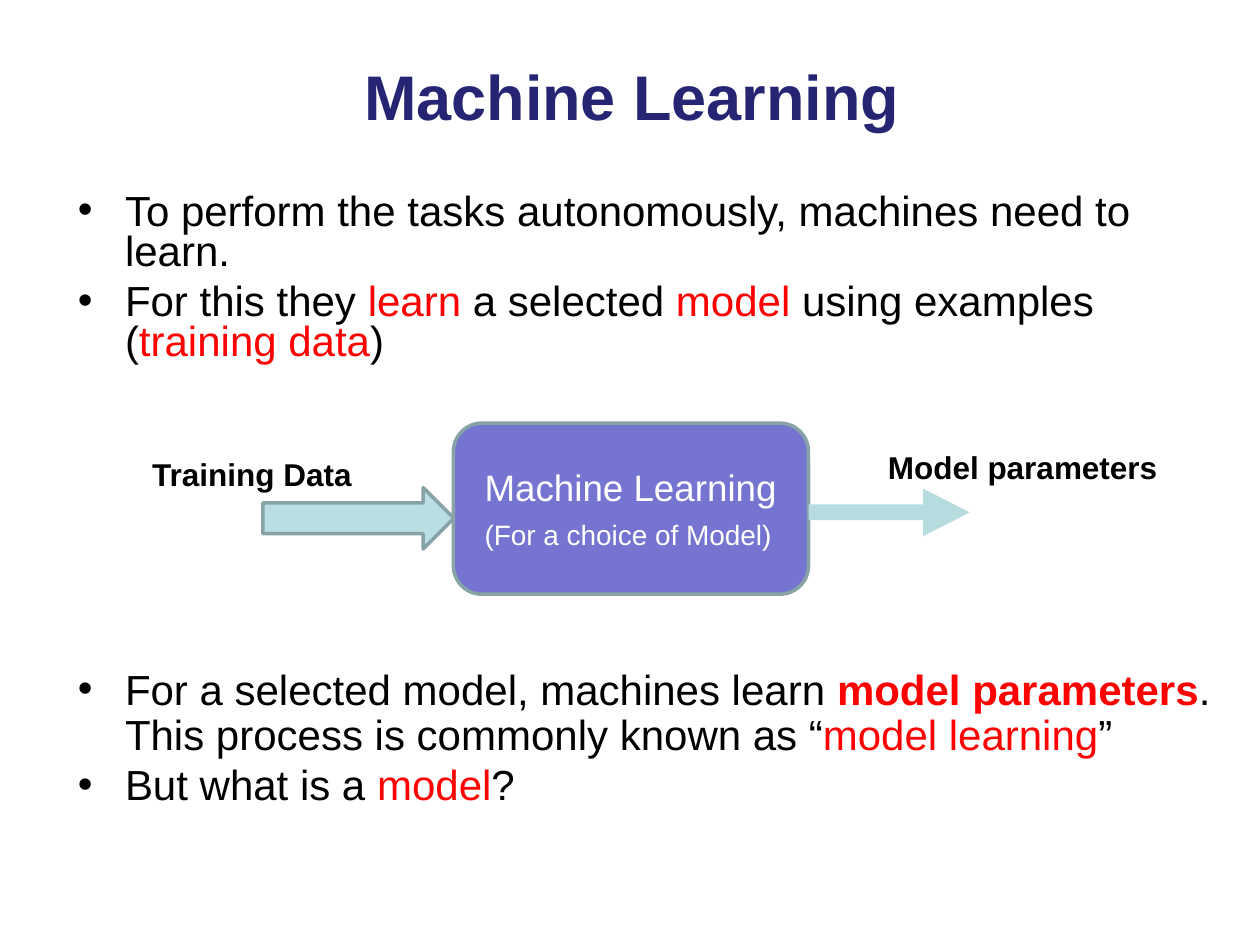
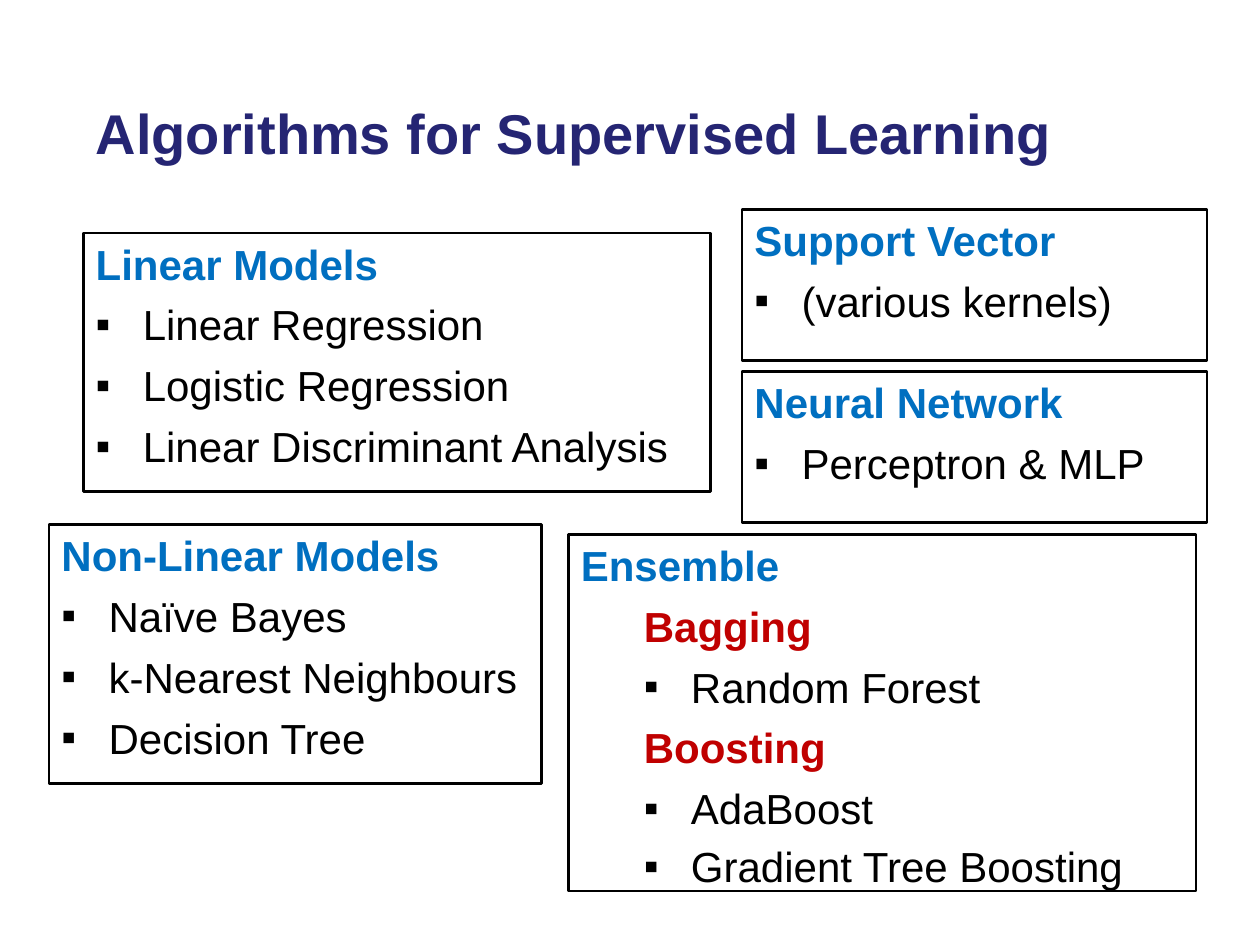
from pptx import Presentation
from pptx.dml.color import RGBColor
from pptx.enum.shapes import MSO_SHAPE
from pptx.enum.text import MSO_ANCHOR, MSO_AUTO_SIZE, PP_ALIGN
from pptx.util import Cm, Pt
from lxml.etree import SubElement
from pptx.oxml.ns import qn

FONT = "Arial"
NAVY, BLACK, WHITE, RED = "252573", "000000", "FFFFFF", "FF0000"
HEADING_BLUE, SUBHEADING_RED = "006FC0", "C00000"
VIOLET, SLATE, AQUA, PALE_AQUA = "7575D1", "88A3A7", "BADFE2", "B6DCDF"
TITLE_BOX = (0.84, 0.69, 20.73, 2.69)
HANG = 0.95


def color(hex_string):
    return RGBColor.from_string(hex_string)


def place(shape, box):
    shape.left, shape.top, shape.width, shape.height = map(Cm, box)


def prepare_frame(shape, left=0, top=0):
    """Return the shape's text frame, top-anchored, with the given insets."""
    frame = shape.text_frame
    frame.word_wrap = True
    frame.auto_size = MSO_AUTO_SIZE.NONE
    frame.vertical_anchor = MSO_ANCHOR.TOP
    frame.margin_left, frame.margin_top = Cm(left), Cm(top)
    frame.margin_right = frame.margin_bottom = 0
    return frame


def add_text(frame, text, size=24, fill=BLACK, bold=False, indent=0, bullet=None,
             before=0, spacing=1.0, emphasis_bold=False):
    """Add a paragraph; parts between asterisks are shown in red."""
    first = frame.paragraphs[0]
    paragraph = first if not first.runs else frame.add_paragraph()
    paragraph.alignment = PP_ALIGN.LEFT
    paragraph.space_before = Pt(before)
    paragraph.line_spacing = spacing
    properties = paragraph._p.get_or_add_pPr()
    properties.set("marL", str(Cm(indent + (HANG if bullet else 0))))
    properties.set("indent", str(Cm(-HANG if bullet else 0)))
    if bullet:
        SubElement(properties, qn("a:buFont")).set("typeface", FONT)
        SubElement(properties, qn("a:buChar")).set("char", bullet)
    else:
        SubElement(properties, qn("a:buNone"))
    for index, part in enumerate(text.split("*")):
        if not part:
            continue
        emphasized = index % 2 == 1
        run = paragraph.add_run()
        run.text = part
        run.font.name = FONT
        run.font.size = Pt(size)
        run.font.bold = bold or (emphasized and emphasis_bold)
        run.font.color.rgb = color(RED if emphasized else fill)


def add_title(slide, text, size, left, top):
    title = slide.shapes.title
    place(title, TITLE_BOX)
    add_text(prepare_frame(title, left, top), text, size=size, fill=NAVY,
             bold=True, before=1)


def add_block(slide, kind, box, fill=None, line=None, line_width=2):
    shape = slide.shapes.add_shape(kind, *map(Cm, box))
    shape.shadow.inherit = False
    if fill:
        shape.fill.solid()
        shape.fill.fore_color.rgb = color(fill)
    else:
        shape.fill.background()
    if line:
        shape.line.color.rgb = color(line)
        shape.line.width = Pt(line_width)
    else:
        shape.line.fill.background()
    return shape


def add_label(slide, text, box):
    label = slide.shapes.add_textbox(*map(Cm, box))
    add_text(prepare_frame(label, top=0.03), text, size=18, bold=True, before=1)


def add_learning_diagram(slide, left, top):
    """Draw training data flowing into the learner and parameters out of it."""
    learner = add_block(slide, MSO_SHAPE.ROUNDED_RECTANGLE,
                        (left + 6.07, top, 7.16, 3.45), VIOLET, SLATE)
    frame = prepare_frame(learner, 0.46, 0.67)
    add_text(frame, "Machine Learning", size=21, fill=WHITE, before=7.6)
    add_text(frame, "(For a choice of Model)", size=16, fill=WHITE, before=5)

    add_block(slide, MSO_SHAPE.RIGHT_ARROW, (left + 2.23, top + 1.3, 3.85, 1.24),
              AQUA, SLATE)
    output = add_block(slide, MSO_SHAPE.RIGHT_ARROW,
                       (left + 13.23, top + 1.32, 3.25, 0.96), PALE_AQUA)
    output.adjustments[0], output.adjustments[1] = 0.33, 0.98

    add_label(slide, "Training Data", (left, top + 0.61, 4.2, 0.84))
    add_label(slide, "Model parameters", (left + 14.83, top + 0.48, 5.6, 0.84))


def add_model_box(slide, box, heading, entries):
    """Draw a bordered list; entries are (text, is_subheading, options)."""
    outline = add_block(slide, MSO_SHAPE.RECTANGLE, box, line=BLACK, line_width=1.5)
    frame = prepare_frame(outline, top=0.1)
    add_text(frame, heading, fill=HEADING_BLUE, bold=True, indent=0.25, before=3)
    has_groups = any(is_subheading for _, is_subheading, _ in entries)
    indent = 1.52 if has_groups else 0.25
    for text, is_subheading, options in entries:
        style = (dict(fill=SUBHEADING_RED, bold=True) if is_subheading
                 else dict(bullet="▪"))
        add_text(frame, text, indent=indent, before=6, **style, **options)


def items(*texts):
    return [(text, False, {}) for text in texts]


def build_machine_learning(presentation):
    slide = presentation.slides.add_slide(presentation.slide_layouts[3])
    add_title(slide, "Machine Learning", 36, left=6.5, top=0.46)
    _, introduction, conclusion = slide.placeholders

    place(introduction, (1.57, 3.68, 21.44, 3.73))
    frame = prepare_frame(introduction, top=0.23)
    add_text(frame, "To perform the tasks autonomously, machines need to learn.",
             bullet="•", before=6.8, spacing=0.8)
    add_text(frame, "For this they *learn* a selected *model* using examples "
             "(*training data*)", bullet="•", before=5.7, spacing=Pt(23))

    place(conclusion, (1.57, 13.44, 23, 2.92))
    frame = prepare_frame(conclusion, top=0.03)
    add_text(frame, "For a selected model, machines learn *model parameters*.",
             bullet="•", before=1, spacing=Pt(25.9), emphasis_bold=True)
    add_text(frame, "This process is commonly known as “*model learning*”",
             indent=HANG, spacing=Pt(25.9))
    add_text(frame, "But what is a *model*?", bullet="•")

    add_learning_diagram(slide, left=3.07, top=8.53)


def build_algorithms(presentation):
    slide = presentation.slides.add_slide(presentation.slide_layouts[5])
    add_title(slide, "Algorithms for Supervised Learning", 32, left=1.09, top=1.3)
    add_model_box(slide, (14.96, 4.22, 9.37, 3.05), "Support Vector",
                  items("(various kernels)"))
    add_model_box(slide, (14.96, 7.49, 9.37, 3.05), "Neural Network",
                  items("Perceptron & MLP"))
    add_model_box(slide, (1.68, 4.7, 12.65, 5.21), "Linear Models",
                  items("Linear Regression", "Logistic Regression",
                        "Linear Discriminant Analysis"))
    add_model_box(slide, (0.99, 10.57, 9.93, 5.23), "Non-Linear Models",
                  items("Naïve Bayes", "k-Nearest Neighbours", "Decision Tree"))
    add_model_box(slide, (11.46, 10.77, 12.65, 7.19), "Ensemble", [
        ("Bagging", True, {}),
        ("Random Forest", False, {}),
        ("Boosting", True, {}),
        ("AdaBoost", False, {}),
        ("Gradient Tree Boosting", False, {"spacing": Pt(26.9)}),
    ])


def main():
    presentation = Presentation()
    presentation.slide_width, presentation.slide_height = Cm(25.4), Cm(19.05)
    build_machine_learning(presentation)
    build_algorithms(presentation)
    presentation.save("out.pptx")


if __name__ == "__main__":
    main()
